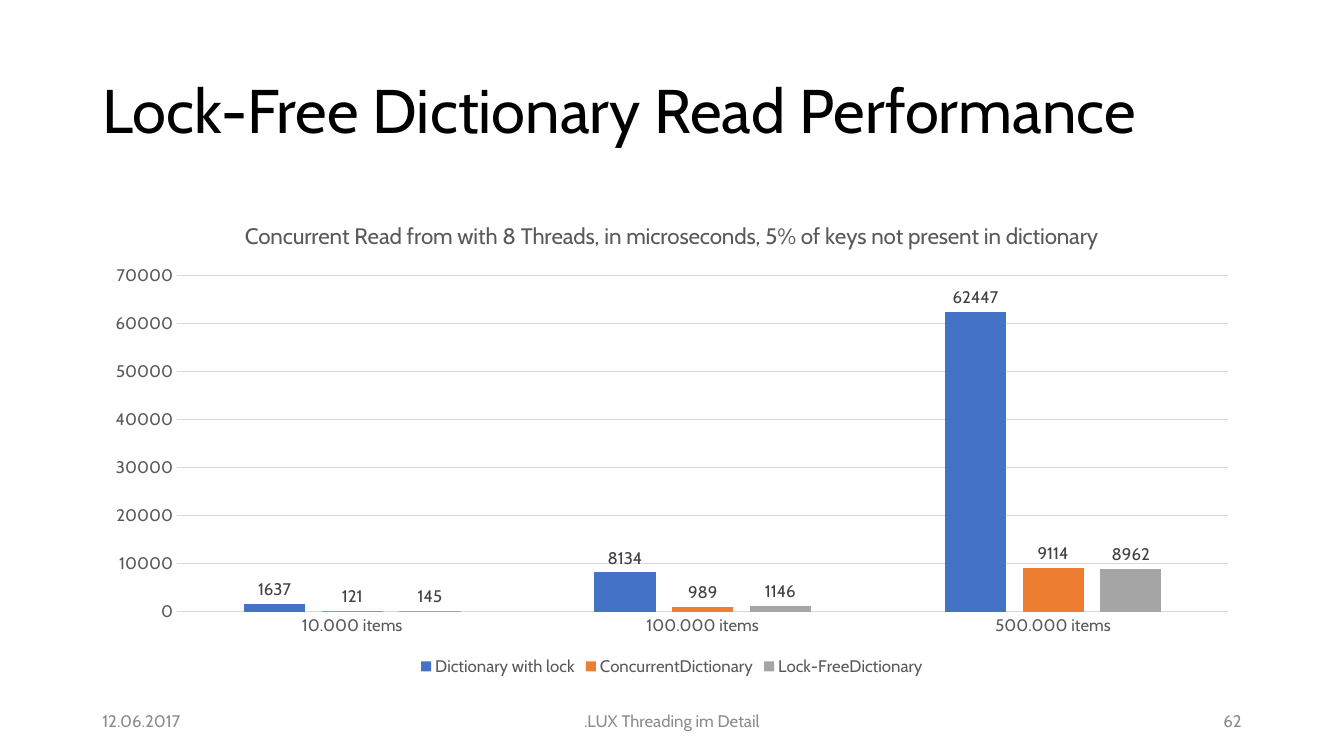
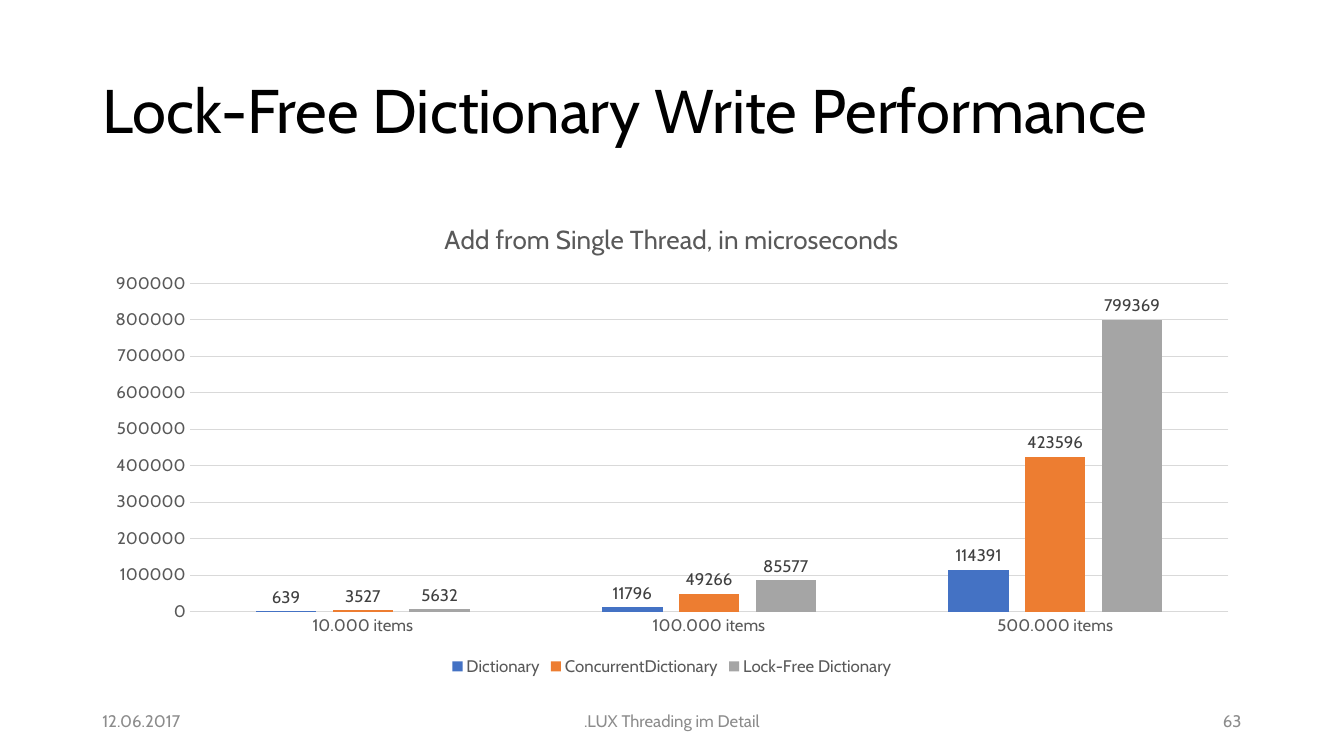
"""Build two slides comparing dictionary read and write performance."""
import dataclasses

import pptx
import pptx.chart.axis
import pptx.chart.chart
import pptx.chart.data
import pptx.dml.color
import pptx.enum.chart
import pptx.enum.text
import pptx.presentation
import pptx.slide
import pptx.text.text
import pptx.util

EMU_PER_PX = 9525
FONT = "Cabin"
BLACK, TEXT_GRAY, LABEL_GRAY = "000000", "595959", "404040"
FOOTER_GRAY, RULE_GRAY, WHITE = "8C8C8C", "D9D9D9", "FFFFFF"
SERIES_COLORS = ("4472C4", "ED7D31", "A5A5A5")
CATEGORIES = ("10.000 items", "100.000 items", "500.000 items")
SMALL = 12
MARGIN, CONTENT_WIDTH = 88, 1104
FOOTER_TOP, FOOTER_HEIGHT = 667, 38
ALIGN = pptx.enum.text.PP_ALIGN


@dataclasses.dataclass(frozen=True)
class Area:
    left: int
    top: int
    width: int
    height: int

    def emu(self) -> tuple[int, int, int, int]:
        return px(self.left), px(self.top), px(self.width), px(self.height)


@dataclasses.dataclass(frozen=True)
class TextStyle:
    size: float
    color: str
    align: ALIGN = ALIGN.LEFT
    spacing: float = 1.0


@dataclasses.dataclass(frozen=True)
class Benchmark:
    title: str
    chart_title: str
    chart_title_size: float
    number_format: str
    axis_max: int
    axis_step: int
    series: dict[str, tuple[int, int, int]]
    page: str


TITLE_AREA = Area(MARGIN, 39, CONTENT_WIDTH, 139)
CHART_AREA = Area(MARGIN, 192, CONTENT_WIDTH, 456)
DATE_AREA = Area(MARGIN, FOOTER_TOP, 288, FOOTER_HEIGHT)
TOPIC_AREA = Area(424, FOOTER_TOP, 432, FOOTER_HEIGHT)
PAGE_AREA = Area(904, FOOTER_TOP, 288, FOOTER_HEIGHT)
TITLE_STYLE = TextStyle(44, BLACK, spacing=0.9)

BENCHMARKS = (
    Benchmark(
        "Lock-Free Dictionary Read Performance",
        "Concurrent Read from with 8 Threads, in microseconds, "
        "5% of keys not present in dictionary",
        16, "0", 70000, 10000,
        {
            "Dictionary with lock": (1637, 8134, 62447),
            "ConcurrentDictionary": (121, 989, 9114),
            "Lock-FreeDictionary": (145, 1146, 8962),
        },
        "62",
    ),
    Benchmark(
        "Lock-Free Dictionary Write Performance",
        "Add from Single Thread, in microseconds",
        18.6, "General", 900000, 100000,
        {
            "Dictionary": (639, 11796, 114391),
            "ConcurrentDictionary": (3527, 49266, 423596),
            "Lock-Free Dictionary": (5632, 85577, 799369),
        },
        "63",
    ),
)


def px(length: int) -> int:
    return pptx.util.Emu(length * EMU_PER_PX)


def rgb(color: str) -> pptx.dml.color.RGBColor:
    return pptx.dml.color.RGBColor.from_string(color)


def set_font(font: pptx.text.text.Font, size: float, color: str) -> None:
    font.name = FONT
    font.size = pptx.util.Pt(size)
    font.bold = False
    font.color.rgb = rgb(color)


def add_text(page: pptx.slide.Slide, area: Area, text: str, style: TextStyle) -> None:
    box = page.shapes.add_textbox(*area.emu())
    frame = box.text_frame
    frame.word_wrap = True
    frame.vertical_anchor = pptx.enum.text.MSO_ANCHOR.MIDDLE
    frame.text = text
    para = frame.paragraphs[0]
    para.alignment = style.align
    para.line_spacing = style.spacing
    for span in para.runs:
        set_font(span.font, style.size, style.color)


def style_axes(chart: pptx.chart.chart.Chart, benchmark: Benchmark) -> None:
    category_axis, value_axis = chart.category_axis, chart.value_axis
    for axis in (category_axis, value_axis):
        axis.major_tick_mark = pptx.enum.chart.XL_TICK_MARK.NONE
        axis.minor_tick_mark = pptx.enum.chart.XL_TICK_MARK.NONE
        set_font(axis.tick_labels.font, SMALL, TEXT_GRAY)
    value_axis.minimum_scale = 0
    value_axis.maximum_scale = benchmark.axis_max
    value_axis.major_unit = benchmark.axis_step
    value_axis.tick_labels.number_format = benchmark.number_format
    value_axis.tick_labels.number_format_is_linked = False
    value_axis.format.line.fill.background()
    for line in (category_axis.format.line, value_axis.major_gridlines.format.line):
        line.color.rgb = rgb(RULE_GRAY)
        line.width = pptx.util.Pt(0.75)


def style_columns(chart: pptx.chart.chart.Chart, number_format: str) -> None:
    plot = chart.plots[0]
    plot.gap_width = 219
    plot.overlap = -27
    plot.vary_by_categories = False
    for series, color in zip(plot.series, SERIES_COLORS):
        series.format.fill.solid()
        series.format.fill.fore_color.rgb = rgb(color)
        series.invert_if_negative = False
        labels = series.data_labels
        labels.show_value = True
        labels.position = pptx.enum.chart.XL_LABEL_POSITION.OUTSIDE_END
        labels.number_format = number_format
        labels.number_format_is_linked = False
        set_font(labels.font, SMALL, LABEL_GRAY)


def add_benchmark_chart(page: pptx.slide.Slide, benchmark: Benchmark) -> None:
    data = pptx.chart.data.CategoryChartData(number_format=benchmark.number_format)
    data.categories = CATEGORIES
    for name, values in benchmark.series.items():
        data.add_series(name, values)
    kind = pptx.enum.chart.XL_CHART_TYPE.COLUMN_CLUSTERED
    chart = page.shapes.add_chart(kind, *CHART_AREA.emu(), data).chart
    set_font(chart.font, 10, BLACK)
    chart.has_title = True
    chart.chart_title.include_in_layout = False
    para = chart.chart_title.text_frame.paragraphs[0]
    para.text = benchmark.chart_title
    for span in para.runs:
        set_font(span.font, benchmark.chart_title_size, TEXT_GRAY)
    chart.has_legend = True
    chart.legend.position = pptx.enum.chart.XL_LEGEND_POSITION.BOTTOM
    chart.legend.include_in_layout = False
    set_font(chart.legend.font, SMALL, TEXT_GRAY)
    style_axes(chart, benchmark)
    style_columns(chart, benchmark.number_format)


def add_footer(page: pptx.slide.Slide, number: str) -> None:
    for area, text, align in (
        (DATE_AREA, "12.06.2017", ALIGN.LEFT),
        (TOPIC_AREA, ".LUX Threading im Detail", ALIGN.CENTER),
        (PAGE_AREA, number, ALIGN.RIGHT),
    ):
        add_text(page, area, text, TextStyle(SMALL, FOOTER_GRAY, align))


def add_benchmark_slide(
    deck: pptx.presentation.Presentation, benchmark: Benchmark
) -> None:
    page = deck.slides.add_slide(deck.slide_layouts[6])
    page.background.fill.solid()
    page.background.fill.fore_color.rgb = rgb(WHITE)
    add_text(page, TITLE_AREA, benchmark.title, TITLE_STYLE)
    add_benchmark_chart(page, benchmark)
    add_footer(page, benchmark.page)


def main() -> None:
    deck = pptx.Presentation()
    deck.slide_width, deck.slide_height = px(1280), px(720)
    for benchmark in BENCHMARKS:
        add_benchmark_slide(deck, benchmark)
    deck.save("out.pptx")


if __name__ == "__main__":
    main()
